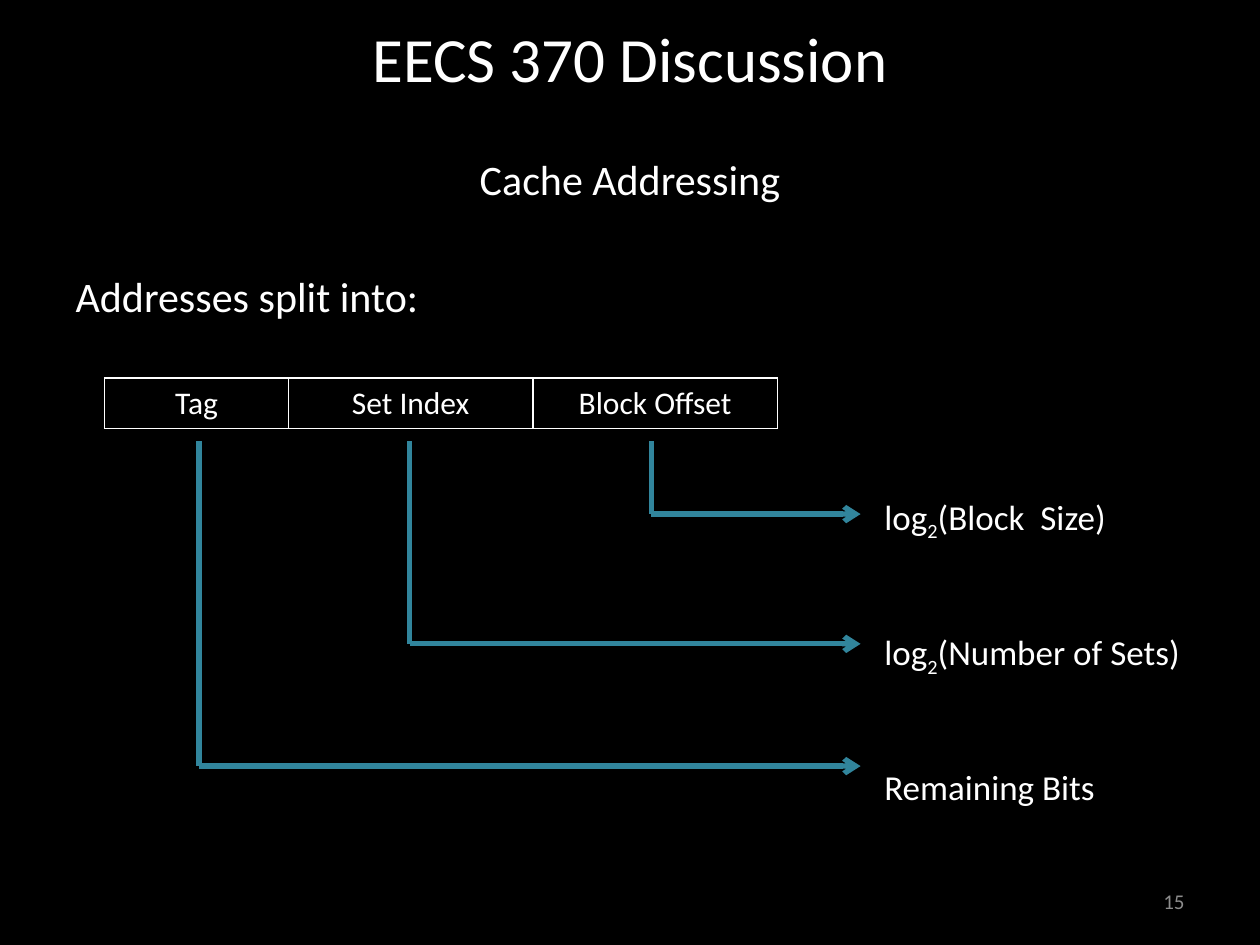
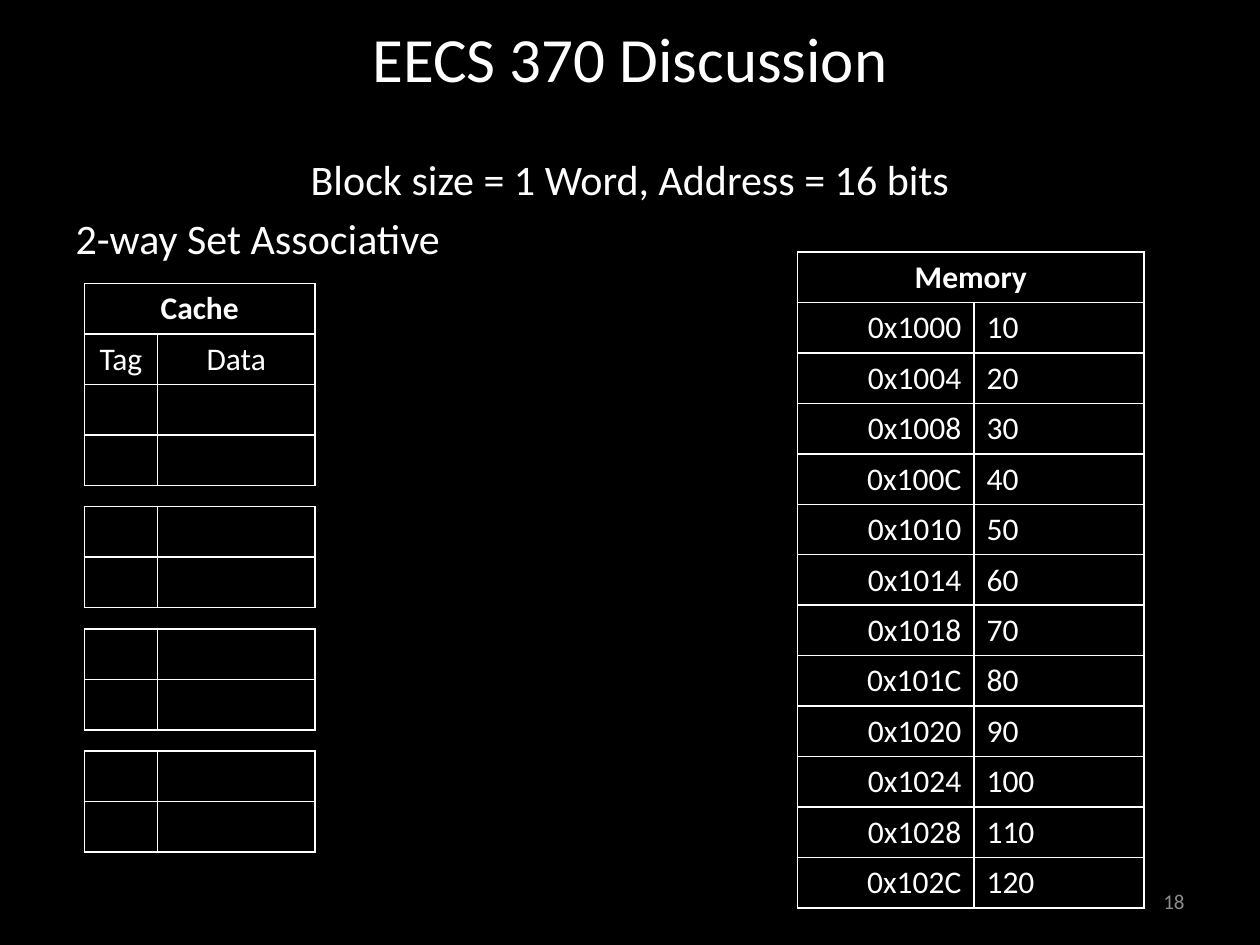
from lxml import etree
from pptx import Presentation
from pptx.dml.color import RGBColor
from pptx.enum.shapes import MSO_CONNECTOR
from pptx.enum.text import MSO_ANCHOR, PP_ALIGN
from pptx.oxml.ns import qn
from pptx.util import Inches, Pt

FONT = "Calibri"
BLACK, WHITE, GREY, TEAL = "000000", "FFFFFF", "8C8C8C", "31859C"
LEFT, CENTER, RIGHT = PP_ALIGN.LEFT, PP_ALIGN.CENTER, PP_ALIGN.RIGHT
COURSE = "EECS 370 Discussion"
ROW_H, GAP_H = 0.4, 0.17
GAP = None  # a table row that only separates two sets


def rgb(color):
    return RGBColor.from_string(color)


def add_run(p, text, size, color=WHITE, bold=False, baseline=0):
    r = p.add_run()
    r.text = text
    r.font.name, r.font.size, r.font.bold = FONT, Pt(size), bold
    r.font.color.rgb = rgb(color)
    if baseline:
        r.font._element.set("baseline", str(baseline * 1000))


def place(s, left, top, width, height):
    s.left, s.top = Inches(left), Inches(top)
    s.width, s.height = Inches(width), Inches(height)


def next_paragraph(tf, first):
    return tf.paragraphs[0] if first else tf.add_paragraph()


def add_text_box(slide, left, top, width, height):
    s = slide.shapes.add_textbox(*map(Inches, (left, top, width, height)))
    s.text_frame.word_wrap = True
    return s.text_frame


def add_course_slide(prs, number, heading, lead, lead_gap):
    """Add a slide with course title, centred heading, left lead-in and number."""
    slide = prs.slides.add_slide(prs.slide_layouts[1])
    title, body = slide.placeholders
    place(title, 0.5, -0.17, 9, 1.25)
    p = title.text_frame.paragraphs[0]
    p.alignment = CENTER
    add_run(p, COURSE, 36)

    place(body, 0.5, 1.17, 9, 5.92)
    for i, (text, align, gap) in enumerate(
            [(heading, CENTER, 5), (lead, LEFT, lead_gap)]):
        p = next_paragraph(body.text_frame, i == 0)
        p.alignment, p.space_before = align, Pt(gap)
        pPr = p._p.get_or_add_pPr()
        pPr.set("marL", "0")
        pPr.set("indent", "0")
        etree.SubElement(pPr, qn("a:buNone"))
        add_run(p, text, 24)

    tf = add_text_box(slide, 7.17, 6.95, 2.33, 0.4)
    tf.vertical_anchor = MSO_ANCHOR.MIDDLE
    tf.paragraphs[0].alignment = RIGHT
    add_run(tf.paragraphs[0], str(number), 12, GREY)
    return slide


def set_borders(cell, visible):
    """Draw the sides named in visible and hide the others."""
    tcPr = cell._tc.get_or_add_tcPr()
    for side in "LRTB":
        ln = etree.SubElement(tcPr, qn(f"a:ln{side}"), w=str(Pt(1)))
        if side in visible:
            fill = etree.SubElement(ln, qn("a:solidFill"))
            etree.SubElement(fill, qn("a:srgbClr"), val=WHITE)
        else:
            etree.SubElement(ln, qn("a:noFill"))


def add_grid(slide, left, top, widths, rows, aligns, header=False):
    """Add an outlined table; header merges the first row and makes it bold."""
    heights = [GAP_H if row is GAP else ROW_H for row in rows]
    table = slide.shapes.add_table(
        len(rows), len(widths), Inches(left), Inches(top),
        Inches(sum(widths)), Inches(sum(heights))).table
    table.first_row = table.horz_banding = False
    for column, width in zip(table.columns, widths):
        column.width = Inches(width)
    for i, (row, height) in enumerate(zip(rows, heights)):
        table.rows[i].height = Inches(height)
        is_header = header and i == 0
        for j, align in enumerate(aligns):
            cell = table.cell(i, j)
            set_borders(cell, "TB" if row is GAP else "LRTB")
            cell.fill.background()
            p = cell.text_frame.paragraphs[0]
            p.alignment = CENTER if is_header else align
            if row is GAP:
                p._p.get_or_add_endParaRPr().set("sz", "400")
            elif j < len(row) and row[j]:
                add_run(p, row[j], 18, bold=is_header)
        if is_header or row is GAP:
            table.cell(i, 0).merge(table.cell(i, len(widths) - 1))


def add_line(slide, x1, y1, x2, y2, arrow=False):
    s = slide.shapes.add_connector(
        MSO_CONNECTOR.STRAIGHT, *map(Inches, (x1, y1, x2, y2)))
    s.line.color.rgb = rgb(TEAL)
    s.line.width = Pt(3)
    if arrow:
        etree.SubElement(s.line._get_or_add_ln(), qn("a:tailEnd"), type="arrow")
    etree.SubElement(s._element.spPr, qn("a:effectLst"))


def add_field_sizes(slide):
    tf = add_text_box(slide, 6.92, 3.88, 2.83, 2.46)
    for i, argument in enumerate(["(Block  Size)", "(Number of Sets)"]):
        p = next_paragraph(tf, i == 0)
        p.space_before = Pt(50 * i)
        add_run(p, "log", 20)
        add_run(p, "2", 20, baseline=-25)
        add_run(p, argument, 20)
    p = tf.add_paragraph()
    p.space_before = Pt(50)
    add_run(p, "Remaining Bits", 20)


def build_addressing(prs):
    slide = add_course_slide(prs, 15, "Cache Addressing",
                             "Addresses split into:", 38)
    add_grid(slide, 0.83, 3, [1.46, 1.94, 1.94],
             [["Tag", "Set Index", "Block Offset"]], [CENTER] * 3)
    for x, y in [(5.17, 4.08), (3.25, 5.11), (1.58, 6.08)]:
        add_line(slide, x, 3.5, x, y)
        add_line(slide, x, y, 6.83, y, arrow=True)
    add_field_sizes(slide)


def build_associative(prs):
    slide = add_course_slide(prs, 18, "Block size = 1 Word, Address = 16 bits",
                             "2-way Set Associative", 5)
    empty_set = [[], []]
    cache = [["Cache"], ["Tag", "Data"]] + empty_set + 3 * ([GAP] + empty_set)
    add_grid(slide, 0.67, 2.25, [0.58, 1.25], cache, [CENTER] * 2, header=True)
    memory = [["Memory"]] + [[f"0x{0x1000 + 4 * i:X}", str(10 * (i + 1))]
                             for i in range(12)]
    add_grid(slide, 6.33, 2, [1.4, 1.35], memory, [RIGHT, LEFT], header=True)


def main():
    prs = Presentation()
    prs.slide_width, prs.slide_height = Inches(10), Inches(7.5)
    fill = prs.slide_master.background.fill
    fill.solid()
    fill.fore_color.rgb = rgb(BLACK)
    build_addressing(prs)
    build_associative(prs)
    prs.save("out.pptx")


if __name__ == "__main__":
    main()
